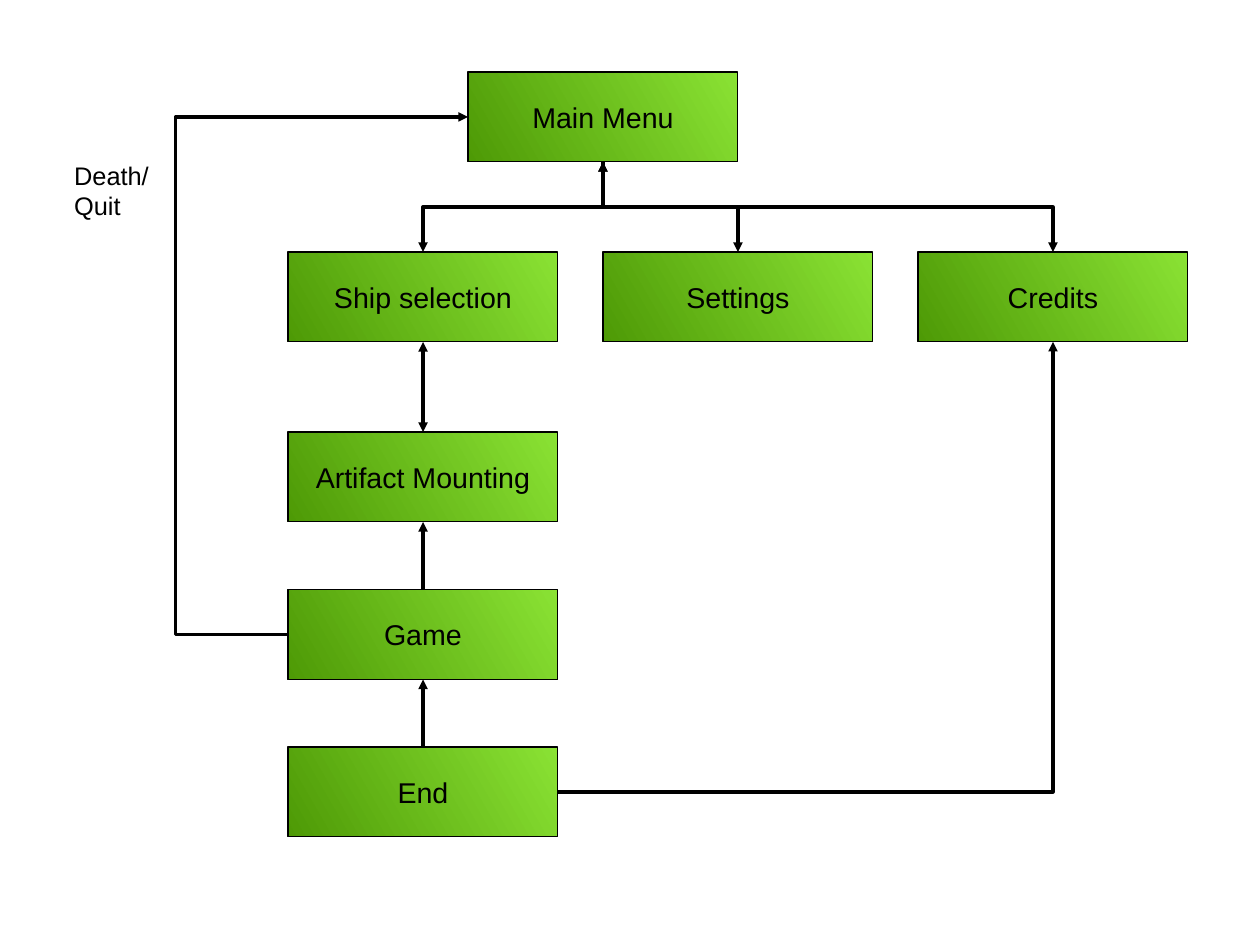
from lxml import etree
from pptx import Presentation
from pptx import util as u
from pptx.dml.color import RGBColor
from pptx.enum import shapes, text
from pptx.oxml import ns

BLACK = RGBColor(0x00, 0x00, 0x00)
LIGHT_GREEN = RGBColor(0x8A, 0xE2, 0x34)
DARK_GREEN = RGBColor(0x4E, 0x9A, 0x06)
SCREEN_WIDTH, SCREEN_HEIGHT = u.Cm(6), u.Cm(2)
TOP, LEFT, BOTTOM, RIGHT = range(4)
STRAIGHT = shapes.MSO_CONNECTOR.STRAIGHT
ELBOW = shapes.MSO_CONNECTOR.ELBOW


def style_label(paragraph, size):
    paragraph.font.name = "Arial"
    paragraph.font.size = u.Pt(size)
    paragraph.font.color.rgb = BLACK


def add_screen(slide, name, left, top):
    screen = slide.shapes.add_shape(
        shapes.MSO_SHAPE.RECTANGLE, left, top, SCREEN_WIDTH, SCREEN_HEIGHT)
    screen.shadow.inherit = False
    screen.fill.gradient()
    screen.fill.gradient_angle = 210
    for stop, color in zip(screen.fill.gradient_stops, (LIGHT_GREEN, DARK_GREEN)):
        stop.color.rgb = color
    screen.line.color.rgb = BLACK
    screen.line.width = u.Pt(0)
    frame = screen.text_frame
    frame.word_wrap = False
    frame.vertical_anchor = text.MSO_ANCHOR.MIDDLE
    label = frame.paragraphs[0]
    label.text = name
    label.alignment = text.PP_ALIGN.CENTER
    style_label(label, 18)
    return screen


def add_link(slide, kind, source, source_side, target, target_side, both_ends=False):
    link = slide.shapes.add_connector(kind, 0, 0, 0, 0)
    link.begin_connect(source, source_side)
    link.end_connect(target, target_side)
    link.line.color.rgb = BLACK
    link.line.width = u.Pt(0)
    line = link.line._get_or_add_ln()
    for end in ("a:headEnd", "a:tailEnd") if both_ends else ("a:tailEnd",):
        etree.SubElement(line, ns.qn(end), type="triangle")
    etree.SubElement(link._element.spPr, ns.qn("a:effectLst"))
    return link


def add_branch(slide, parent, child, both_ends):
    branch = add_link(slide, ELBOW, parent, BOTTOM, child, TOP, both_ends)
    across, down = branch.width, branch.height
    goes_right = branch.end_x > branch.begin_x
    center_x = branch.left + across // 2
    center_y = branch.top + down // 2
    branch.left, branch.top = center_x - down // 2, center_y - across // 2
    branch.width, branch.height = down, across
    frame = branch._element.spPr.find(ns.qn("a:xfrm"))
    frame.attrib.pop("flipH", None)
    frame.set("rot", str(90 * 60000))
    if goes_right:
        frame.set("flipV", "1")


def add_menu(slide, left, top):
    main_menu = add_screen(slide, "Main Menu", left + u.Cm(4), top)
    options = [
        add_screen(slide, name, left + offset, top + u.Cm(4))
        for name, offset in (("Ship selection", 0), ("Settings", u.Cm(7)),
                             ("Credits", u.Cm(14)))]
    for option in options:
        add_branch(slide, main_menu, option, option is not options[0])
    return main_menu, options[0], options[-1]


def add_play_sequence(slide, left, top, ship_selection):
    steps = [ship_selection]
    for name, offset in (("Artifact Mounting", 0), ("Game", 3.5), ("End", 7)):
        step = add_screen(slide, name, left, top + u.Cm(offset))
        add_link(slide, STRAIGHT, step, TOP, steps[-1], BOTTOM,
                 both_ends=steps[-1] is ship_selection)
        steps.append(step)
    return steps[-2:]


def add_exits(slide, game, end, main_menu, game_credits):
    death = add_link(slide, ELBOW, game, LEFT, main_menu, LEFT)
    bend = death._element.spPr.find(ns.qn("a:prstGeom")).get_or_add_avLst()
    etree.SubElement(bend, ns.qn("a:gd"), name="adj1", fmla="val -62500")

    finish = add_link(slide, ELBOW, end, RIGHT, game_credits, BOTTOM)
    finish._element.spPr.find(ns.qn("a:prstGeom")).set("prst", "bentConnector2")


def add_exit_label(slide, left, top, width, height):
    reason = slide.shapes.add_textbox(left, top, width, height).text_frame
    reason.word_wrap = True
    reason.auto_size = text.MSO_AUTO_SIZE.SHAPE_TO_FIT_TEXT
    reason.text = "Death/Quit"
    style_label(reason.paragraphs[0], 16)


def main():
    deck = Presentation()
    deck.slide_width, deck.slide_height = u.Cm(28), u.Cm(21)
    slide = deck.slides.add_slide(deck.slide_layouts[6])
    column = u.Cm(6.4)
    main_menu, ship_selection, game_credits = add_menu(slide, column, u.Cm(1.6))
    game, end = add_play_sequence(slide, column, u.Cm(9.6), ship_selection)
    add_exits(slide, game, end, main_menu, game_credits)
    add_exit_label(slide, u.Cm(1.4), u.Cm(3.43), u.Cm(2.5), u.Cm(1.52))
    deck.save("out.pptx")


if __name__ == "__main__":
    main()
